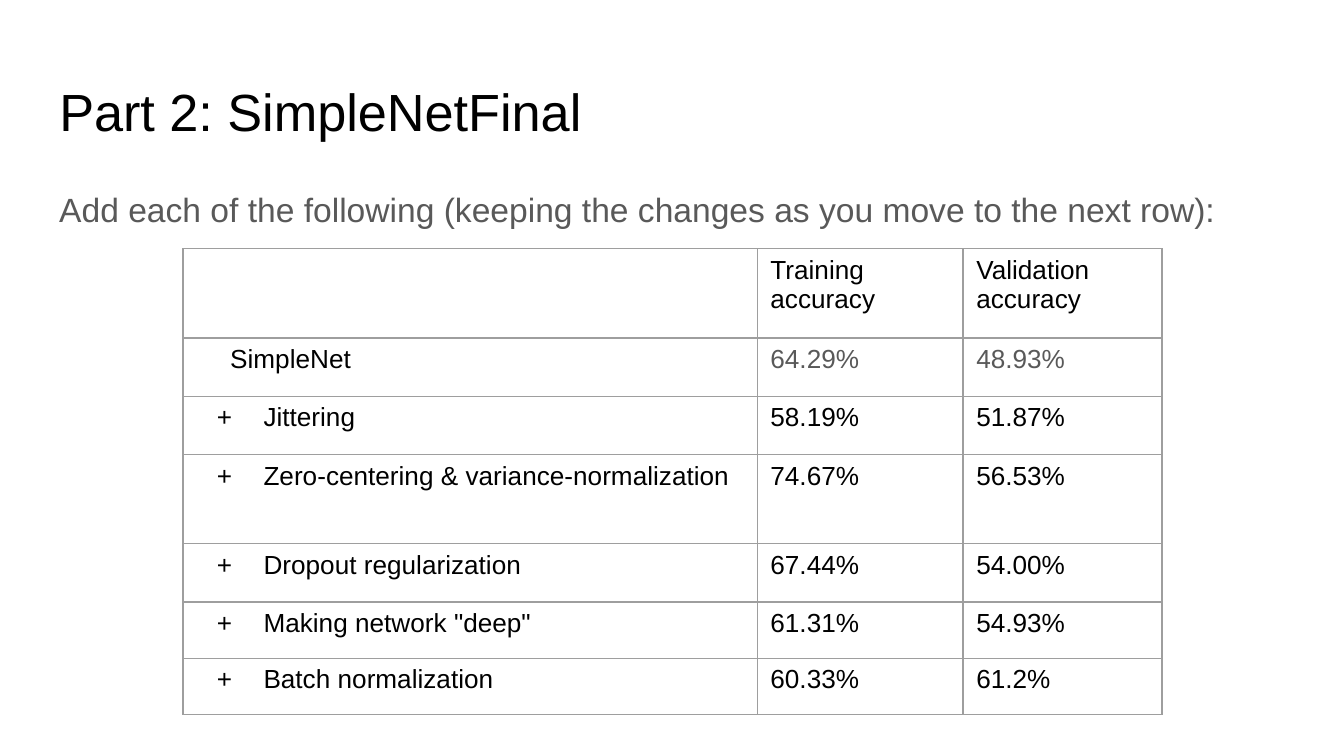
import pptx
import pptx.dml.color
import pptx.enum.text
import pptx.oxml
import pptx.oxml.ns
import pptx.util
from pptx.util import Cm

FONT = "Arial"
BLACK, GREY, BORDER = "000000", "595959", "9E9E9E"
COLUMNS = [10.85, 3.89, 3.76]
HEIGHTS = [1.69, 1.1, 1.1, 1.69, 1.1, 1.06, 1.06]
ROWS = [
    ("", "Training accuracy", "Validation accuracy"),
    ("SimpleNet", "64.29%", "48.93%"),
    ("Jittering", "58.19%", "51.87%"),
    ("Zero-centering & variance-normalization", "74.67%", "56.53%"),
    ("Dropout regularization", "67.44%", "54.00%"),
    ('Making network "deep"', "61.31%", "54.93%"),
    ("Batch normalization", "60.33%", "61.2%"),
]
BASELINE_ROW = 1


def rgb(value):
    """Return the colour for a hex string."""
    return pptx.dml.color.RGBColor.from_string(value)


def add_xml(parent, xml):
    """Append a DrawingML element given as text."""
    ns = pptx.oxml.ns.nsdecls("a")
    parent.append(pptx.oxml.parse_xml(xml.replace(" ", f" {ns} ", 1)))


def style(p, size, color):
    """Set the font of a paragraph."""
    p.font.name = FONT
    p.font.size = pptx.util.Pt(size)
    p.font.color.rgb = rgb(color)


def fill_text(sp, box, text, size, color):
    """Place a shape in its box and write one left-aligned paragraph."""
    sp.left, sp.top, sp.width, sp.height = (Cm(v) for v in box)
    tf = sp.text_frame
    tf.word_wrap = True
    tf.auto_size = pptx.enum.text.MSO_AUTO_SIZE.NONE
    tf.vertical_anchor = pptx.enum.text.MSO_ANCHOR.TOP
    tf.margin_left = tf.margin_right = tf.margin_top = tf.margin_bottom = Cm(0.25)
    tf.text = text
    p = tf.paragraphs[0]
    p.alignment = pptx.enum.text.PP_ALIGN.LEFT
    style(p, size, color)
    return p


def add_title(s, box):
    """Fill the title placeholder."""
    fill_text(s.shapes.title, box, "Part 2: SimpleNetFinal", 28, BLACK)


def add_instruction(s, box):
    """Add the line that introduces the table."""
    sp = s.shapes.add_textbox(*(Cm(v) for v in box))
    text = "Add each of the following (keeping the changes as you move to the next row):"
    p = fill_text(sp, box, text, 18, GREY)
    p.line_spacing = 1.15


def indent_label(p, row):
    """Indent a row label, with a plus bullet on the added steps."""
    pPr = p._p.get_or_add_pPr()
    if row == BASELINE_ROW:
        pPr.set("marL", str(Cm(0.64)))
    elif row > BASELINE_ROW:
        pPr.set("marL", str(Cm(1.27)))
        pPr.set("indent", str(-Cm(0.88)))
        add_xml(pPr, f'<a:buClr ><a:srgbClr val="{BLACK}"/></a:buClr>')
        add_xml(pPr, f'<a:buFont typeface="{FONT}"/>')
        add_xml(pPr, '<a:buChar char="+"/>')


def format_cell(cell):
    """Give a cell its margins, grey borders and no fill."""
    cell.margin_left = cell.margin_right = Cm(0.25)
    cell.margin_top = cell.margin_bottom = Cm(0.13)
    width = pptx.util.Pt(0.75)
    for side in "LRTB":
        add_xml(
            cell._tc.get_or_add_tcPr(),
            f'<a:ln{side} w="{width}"><a:solidFill><a:srgbClr val="{BORDER}"/>'
            f"</a:solidFill></a:ln{side}>",
        )
    cell.fill.background()


def add_accuracy_table(s, box):
    """Add the table of training and validation accuracy."""
    size = len(ROWS), len(COLUMNS)
    table = s.shapes.add_table(*size, *(Cm(v) for v in box)).table
    table.first_row = table.horz_banding = False
    for column, width in zip(table.columns, COLUMNS):
        column.width = Cm(width)
    for row, height in zip(table.rows, HEIGHTS):
        row.height = Cm(height)
    for i, values in enumerate(ROWS):
        for j, value in enumerate(values):
            cell = table.cell(i, j)
            format_cell(cell)
            cell.text = value
            p = cell.text_frame.paragraphs[0]
            if j == 0:
                indent_label(p, i)
            style(p, 14, GREY if i == BASELINE_ROW and j > 0 else BLACK)


def main():
    """Build and save the presentation."""
    prs = pptx.Presentation()
    prs.slide_width, prs.slide_height = Cm(25.4), Cm(14.29)
    s = prs.slides.add_slide(prs.slide_layouts[5])
    add_title(s, (0.87, 1.24, 23.67, 1.6))
    add_instruction(s, (0.87, 3.2, 23.67, 9.5))
    add_accuracy_table(s, (3.46, 4.7, sum(COLUMNS), sum(HEIGHTS)))
    prs.save("out.pptx")


if __name__ == "__main__":
    main()
